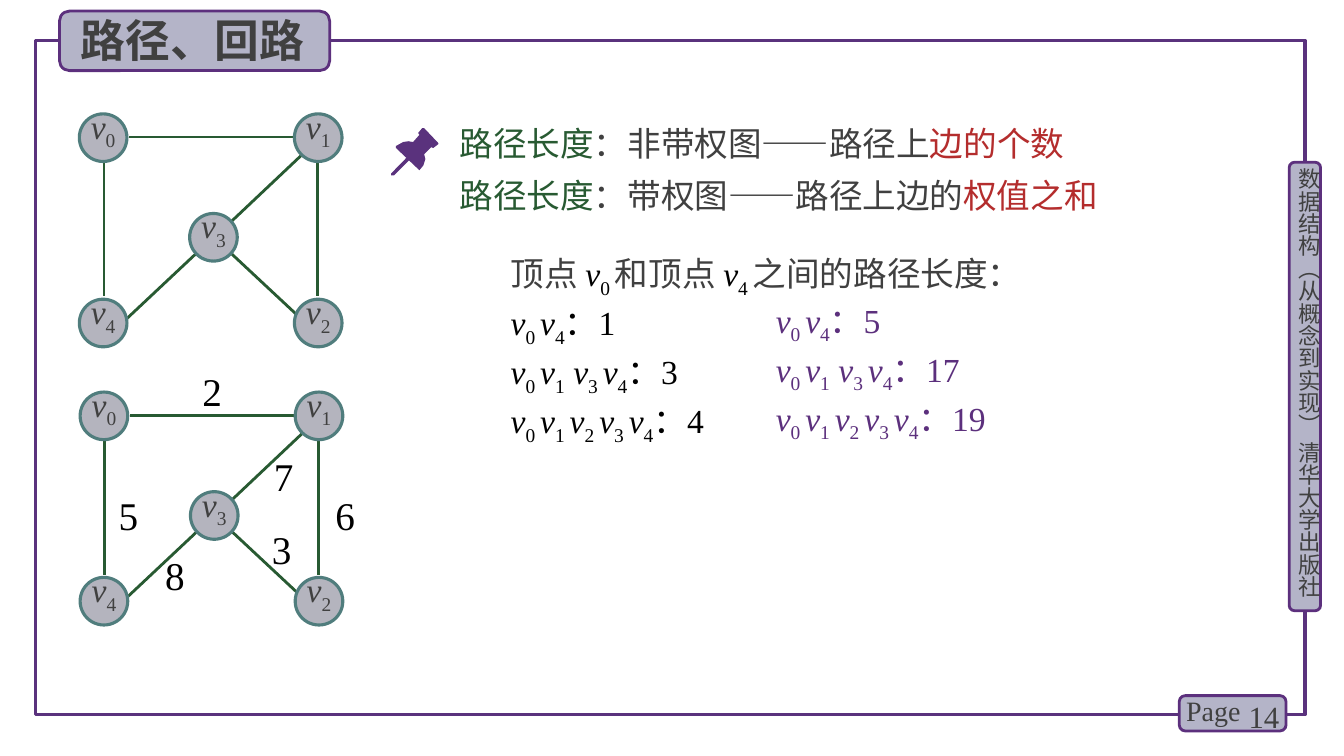
from dataclasses import dataclass

from lxml import etree
from pptx import Presentation
from pptx import util as u
from pptx.dml.color import RGBColor
from pptx.enum import shapes, text
from pptx.oxml import ns

LATIN = "Times New Roman"
CJK = "Noto Sans CJK SC"
COLORS = {
    "frame": "5A327D",
    "outline": "5C307D",
    "panel": "B4B4C8",
    "node": "B4B4BE",
    "node_line": "507D7D",
    "green": "285A32",
    "grey": "404040",
    "red": "B42D2D",
    "black": "000000",
}


@dataclass(frozen=True)
class Box:
    left: float
    top: float
    width: float
    height: float

    def lengths(self) -> list:
        return [u.Cm(value) for value in (self.left, self.top, self.width, self.height)]


@dataclass(frozen=True)
class Run:
    text: str
    color: str
    italic: bool = False
    subscript: bool = False


@dataclass(frozen=True)
class Node:
    label: str
    left: float
    top: float


@dataclass(frozen=True)
class Edge:
    x1: float
    y1: float
    x2: float
    y2: float


@dataclass(frozen=True)
class Weight:
    value: str
    left: float
    top: float


NODES = [
    Node("0", 2.0, 2.87),
    Node("1", 7.42, 2.87),
    Node("2", 7.42, 7.54),
    Node("3", 4.78, 5.38),
    Node("4", 2.0, 7.54),
]
EDGES = [
    Edge(3.25, 3.45, 7.47, 3.45),
    Edge(2.62, 4.11, 2.62, 7.47),
    Edge(8.0, 4.11, 8.0, 7.47),
    Edge(7.62, 3.89, 5.82, 5.59),
    Edge(4.93, 6.4, 3.12, 8.1),
    Edge(5.84, 6.4, 7.5, 7.95),
]
WEIGHTS = [
    Weight("2", 4.85, 9.12),
    Weight("7", 6.65, 11.28),
    Weight("8", 3.91, 13.77),
    Weight("5", 2.74, 12.24),
    Weight("6", 8.2, 12.24),
    Weight("3", 6.6, 13.11),
]
GRAPH_OFFSETS = [(0, 0), (0.02, 7.01)]
PANELS = [Box(32.49, 4.09, 0.79, 11.3), Box(29.72, 17.53, 2.69, 0.89), Box(1.5, 0.28, 6.81, 1.5)]
PATHS = ["v|_0 |v|_4|：", "v|_0 |v|_1| v|_3 |v|_4|：", "v|_0 |v|_1 |v|_2 |v|_3 |v|_4|："]
HOP_COUNTS = ["1", "3", "4"]
WEIGHT_SUMS = ["5", "17", "19"]
DEFINITIONS = [("：非带权图——路径上", "边的个数"), ("：带权图——路径上边的", "权值之和")]
PIN_HEAD = [
    (11.05, 3.61), (10.69, 3.23), (10.64, 3.23), (10.54, 3.35), (10.57, 3.4), (10.41, 3.58),
    (10.29, 3.56), (10.16, 3.58), (9.98, 3.68), (9.98, 3.73), (10.57, 4.29), (10.67, 4.17),
    (10.72, 4.01), (10.69, 3.89), (10.87, 3.71), (10.92, 3.73), (11.05, 3.63),
]
PIN_NEEDLE = [
    (9.91, 4.42), (9.86, 4.42), (9.86, 4.37), (10.26, 3.96), (10.31, 3.96), (10.34, 4.01), (9.93, 4.42),
]


def rgb(name: str) -> RGBColor:
    return RGBColor.from_string(COLORS[name])


def vertex_runs(markup: str, color: str, plain_color: str) -> list[Run]:
    runs = []
    for part in markup.split("|"):
        if part.startswith("_"):
            runs.append(Run(part[1:], color, subscript=True))
        elif part.strip() == "v":
            runs.append(Run(part, color, italic=True))
        else:
            runs.append(Run(part, plain_color))
    return runs


def path_lines(totals: list[str], color: str) -> list[list[Run]]:
    return [vertex_runs(path + total, color, color) for path, total in zip(PATHS, totals)]


def write(shape, lines: list[list[Run]], size: float, spacing: float | None = None,
          align=text.PP_ALIGN.LEFT, font: str = LATIN, bold: bool = False, inset: bool = True) -> None:
    frame = shape.text_frame
    frame.word_wrap = True
    frame.auto_size = text.MSO_AUTO_SIZE.NONE
    frame.vertical_anchor = text.MSO_ANCHOR.TOP
    frame.margin_left = frame.margin_right = u.Cm(0.25 if inset else 0)
    frame.margin_top = frame.margin_bottom = u.Cm(0.13 if inset else 0)
    for index, runs in enumerate(lines):
        paragraph = frame.paragraphs[0] if index == 0 else frame.add_paragraph()
        paragraph.alignment = align
        paragraph.space_before = u.Pt(0)
        if spacing:
            paragraph.line_spacing = u.Pt(spacing)
        if shape.is_placeholder:
            properties = paragraph._p.get_or_add_pPr()
            properties.set("marL", "0")
            properties.set("indent", "0")
            etree.SubElement(properties, ns.qn("a:buNone"))
        for item in runs:
            run = paragraph.add_run()
            run.text = item.text
            run.font.name = font
            run.font.size = u.Pt(size)
            run.font.bold = bold
            run.font.italic = item.italic
            run.font.color.rgb = rgb(item.color)
            properties = run._r.get_or_add_rPr()
            etree.SubElement(properties, ns.qn("a:ea")).set("typeface", CJK)
            if item.subscript:
                properties.set("baseline", "-25000")


def add_text(slide, box: Box, runs: list[Run], size: float, **options):
    shape = slide.shapes.add_textbox(*box.lengths())
    write(shape, [runs], size, **options)
    return shape


def fill_placeholder(slide, shape, box: Box, lines: list[list[Run]], size: float, **options) -> None:
    shape.left, shape.top, shape.width, shape.height = box.lengths()
    write(shape, lines, size, **options)
    slide.shapes._spTree.append(shape._element)


def add_panel(slide, kind, box: Box, fill: str | None, line: str, width: float):
    shape = slide.shapes.add_shape(kind, *box.lengths())
    shape.shadow.inherit = False
    if fill:
        shape.fill.solid()
        shape.fill.fore_color.rgb = rgb(fill)
    else:
        shape.fill.background()
    shape.line.color.rgb = rgb(line)
    shape.line.width = u.Pt(width)
    return shape


def add_graph(slide, dx: float, dy: float) -> None:
    for edge in EDGES:
        connector = slide.shapes.add_connector(
            shapes.MSO_CONNECTOR.STRAIGHT, u.Cm(edge.x1 + dx), u.Cm(edge.y1 + dy),
            u.Cm(edge.x2 + dx), u.Cm(edge.y2 + dy))
        connector.line.color.rgb = rgb("green")
        connector.line.width = u.Pt(2)
        etree.SubElement(connector._element.spPr, ns.qn("a:effectLst"))
    for node in NODES:
        circle = add_panel(slide, shapes.MSO_SHAPE.OVAL, Box(node.left + dx, node.top + dy, 1.2, 1.2),
                           "node", "node_line", 2.25)
        write(circle, [vertex_runs(f"v|_{node.label}", "grey", "grey")], 24, spacing=22,
              align=text.PP_ALIGN.CENTER, inset=False)


def add_outline(slide, points: list[tuple[float, float]]) -> None:
    start, *rest = [(u.Cm(x), u.Cm(y)) for x, y in points]
    builder = slide.shapes.build_freeform(*start)
    builder.add_line_segments(rest, close=True)
    shape = builder.convert_to_shape()
    shape.shadow.inherit = False
    shape.fill.solid()
    shape.fill.fore_color.rgb = rgb("frame")
    shape.line.fill.background()


def main() -> None:
    presentation = Presentation()
    presentation.slide_width, presentation.slide_height = u.Cm(33.87), u.Cm(19.05)
    slide = presentation.slides.add_slide(presentation.slide_layouts[3])
    title, hop_list, weight_list = list(slide.placeholders)

    add_panel(slide, shapes.MSO_SHAPE.RECTANGLE, Box(0.89, 1.02, 32.0, 16.99), None, "frame", 2.25)
    for box in PANELS:
        add_panel(slide, shapes.MSO_SHAPE.ROUNDED_RECTANGLE, box, "panel", "outline", 2)
    fill_placeholder(slide, title, Box(1.78, 0.18, 6.27, 1.63), [[Run("路径、回路", "grey")]], 32,
                     font=CJK, bold=True)
    banner = add_text(slide, Box(32.64, 4.24, 0.69, 11.4),
                      [Run("数据结构（从概念到实现） 清华大学出版社", "grey")], 16, font=CJK, inset=False)
    banner.text_frame._txBody.bodyPr.set("vert", "eaVert")
    add_text(slide, Box(29.64, 17.35, 1.98, 1.12), [Run("Page", "grey")], 20)
    add_text(slide, Box(30.99, 17.44, 1.5, 1.02), [Run("14", "grey")], 22, align=text.PP_ALIGN.RIGHT)

    for dx, dy in GRAPH_OFFSETS:
        add_graph(slide, dx, dy)
    for weight in WEIGHTS:
        add_text(slide, Box(weight.left, weight.top, 1.68, 1.45), [Run(weight.value, "black")], 28)

    for points in (PIN_HEAD, PIN_NEEDLE):
        add_outline(slide, points)
    for row, (meaning, measure) in enumerate(DEFINITIONS):
        add_text(slide, Box(11.33, 2.97 + row * 1.32, 20.52, 1.27),
                 [Run("路径长度", "green"), Run(meaning, "grey"), Run(measure, "red")], 24)

    heading = vertex_runs("顶点 |v|_0 |和顶点 |v|_4 |之间的路径长度：", "black", "grey")
    fill_placeholder(slide, hop_list, Box(12.62, 6.17, 13.89, 5.23),
                     [heading, *path_lines(HOP_COUNTS, "black")], 24, spacing=35)
    fill_placeholder(slide, weight_list, Box(19.3, 7.34, 7.37, 3.99),
                     path_lines(WEIGHT_SUMS, "outline"), 24, spacing=35)
    presentation.save("out.pptx")


if __name__ == "__main__":
    main()
